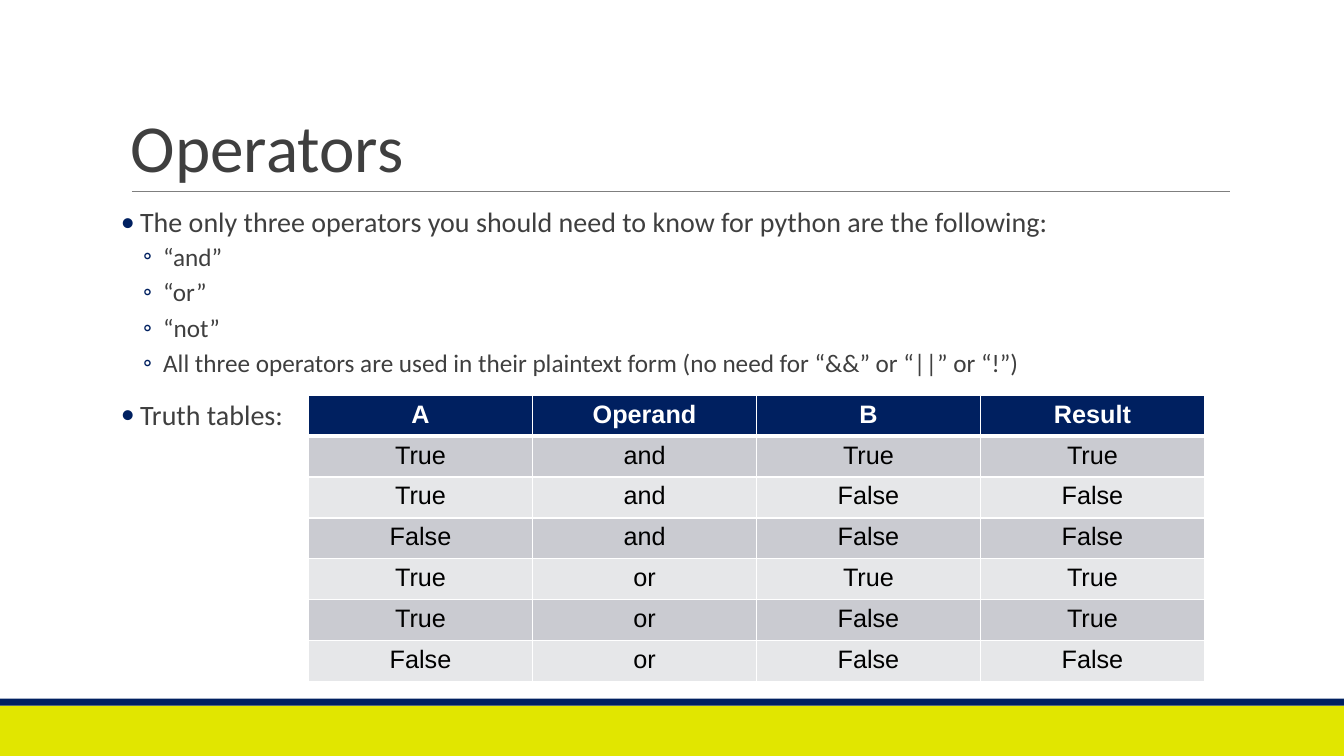
from lxml.etree import SubElement
from pptx import Presentation
from pptx.dml.color import RGBColor
from pptx.enum.shapes import MSO_CONNECTOR as Connector, MSO_SHAPE as Shape
from pptx.enum.text import MSO_ANCHOR as Anchor, PP_ALIGN as Align
from pptx.oxml.ns import qn
from pptx.util import Pt

PAGE_WIDTH, PAGE_HEIGHT = 960, 540
NAVY, LIME, GRAY, WHITE = "002060", "E1E600", "3F3F3F", "FFFFFF"
BANDS = ["CACBD1", "E6E7E9"]

# Per level: bullet, font size, left margin, hanging indent
LEVELS = [("•", 20, 13.7, 13.7), ("◦", 18, 30.2, 14.4)]

# Text, level, space before
POINTS = [
    ("The only three operators you should need to know for python are the following:", 0, 0),
    ("“and”", 1, 4),
    ("“or”", 1, 6),
    ("“not”", 1, 6),
    ("All three operators are used in their plaintext form (no need for “&&” or “||” or “!”)", 1, 6),
    ("Truth tables:", 0, 16),
]

TRUTH_ROWS = [
    ("A", "Operand", "B", "Result"),
    ("True", "and", "True", "True"),
    ("True", "and", "False", "False"),
    ("False", "and", "False", "False"),
    ("True", "or", "True", "True"),
    ("True", "or", "False", "True"),
    ("False", "or", "False", "False"),
]


def color(value):
    return RGBColor.from_string(value)


def write(para, text, size=18, font="Calibri", fill=GRAY, bold=False,
          align=Align.LEFT, spacing=1.0, before=0):
    para.alignment = align
    para.line_spacing = spacing
    para.space_before = Pt(before)
    span = para.add_run()
    span.text = text
    span.font.size = Pt(size)
    span.font.name = font
    span.font.bold = bold
    span.font.color.rgb = color(fill)


def add_bullet(para, mark, margin, hanging):
    props = para._p.get_or_add_pPr()
    props.set("marL", str(Pt(margin)))
    props.set("indent", str(-Pt(hanging)))
    bullet_color = SubElement(props, qn("a:buClr"))
    SubElement(bullet_color, qn("a:srgbClr"), val=NAVY)
    SubElement(props, qn("a:buFont"), typeface="Calibri")
    SubElement(props, qn("a:buChar"), char=mark)


def add_frame(page, left, top, width, height, inset, anchor=Anchor.TOP):
    frame = page.shapes.add_textbox(Pt(left), Pt(top), Pt(width), Pt(height)).text_frame
    frame.word_wrap = True
    frame.vertical_anchor = anchor
    frame.margin_left = frame.margin_right = Pt(inset)
    frame.margin_top = frame.margin_bottom = Pt(3.6)
    return frame


def add_footer(page, top, stripe_height):
    """Lime band down to the page edge with a navy stripe on its top."""
    stripe_bottom = top + stripe_height
    for y, height, fill in [(stripe_bottom, PAGE_HEIGHT - stripe_bottom, LIME),
                            (top, stripe_height, NAVY)]:
        band = page.shapes.add_shape(Shape.RECTANGLE, 0, Pt(y), Pt(PAGE_WIDTH), Pt(height))
        band.shadow.inherit = False
        band.fill.solid()
        band.fill.fore_color.rgb = color(fill)
        band.line.fill.background()


def add_title(page, left, top, width, height):
    inset, bottom = 7.2, top + height
    rule = page.shapes.add_connector(Connector.STRAIGHT, Pt(left + inset + 0.7), Pt(bottom),
                                     Pt(left + width), Pt(bottom))
    rule.line.color.rgb = color("7F7F7F")
    rule.line.width = Pt(0.75)
    SubElement(rule._element.spPr, qn("a:effectLst"))
    frame = add_frame(page, left, top, width, height, inset, Anchor.BOTTOM)
    write(frame.paragraphs[0], "Operators", size=48, spacing=0.85)


def add_points(page, left, top, width, height):
    frame = add_frame(page, left, top, width, height, 0)
    for index, (text, level, before) in enumerate(POINTS):
        para = frame.add_paragraph() if index else frame.paragraphs[0]
        mark, size, margin, hanging = LEVELS[level]
        para.level = level
        write(para, text, size=size, spacing=0.9, before=before)
        add_bullet(para, mark, margin, hanging)


def add_borders(cell, bottom):
    props = cell._tc.get_or_add_tcPr()
    for side, width in [("L", 1), ("R", 1), ("T", 1), ("B", bottom)]:
        line = SubElement(props, qn("a:ln" + side), w=str(Pt(width)))
        SubElement(SubElement(line, qn("a:solidFill")), qn("a:srgbClr"), val=WHITE)


def add_truth_table(page, left, top, width, height):
    table = page.shapes.add_table(len(TRUTH_ROWS), len(TRUTH_ROWS[0]), Pt(left), Pt(top),
                                  Pt(width), Pt(height)).table
    for row, values in enumerate(TRUTH_ROWS):
        header = row == 0
        for column, text in enumerate(values):
            cell = table.cell(row, column)
            add_borders(cell, bottom=3 if header else 1)
            cell.fill.solid()
            cell.fill.fore_color.rgb = color(NAVY if header else BANDS[(row - 1) % 2])
            write(cell.text_frame.paragraphs[0], text, font="Arial", bold=header,
                  fill=WHITE if header else "000000", align=Align.CENTER)


def main():
    deck = Presentation()
    deck.slide_width, deck.slide_height = Pt(PAGE_WIDTH), Pt(PAGE_HEIGHT)
    page = deck.slides.add_slide(deck.slide_layouts[6])
    add_footer(page, top=499, stripe_height=5)
    add_title(page, 86.4, 22.5, 792, 114)
    add_points(page, 86.4, 145.4, 792, 316.8)
    add_truth_table(page, 220.4, 282.4, 640, 204.4)
    deck.save("out.pptx")


if __name__ == "__main__":
    main()
